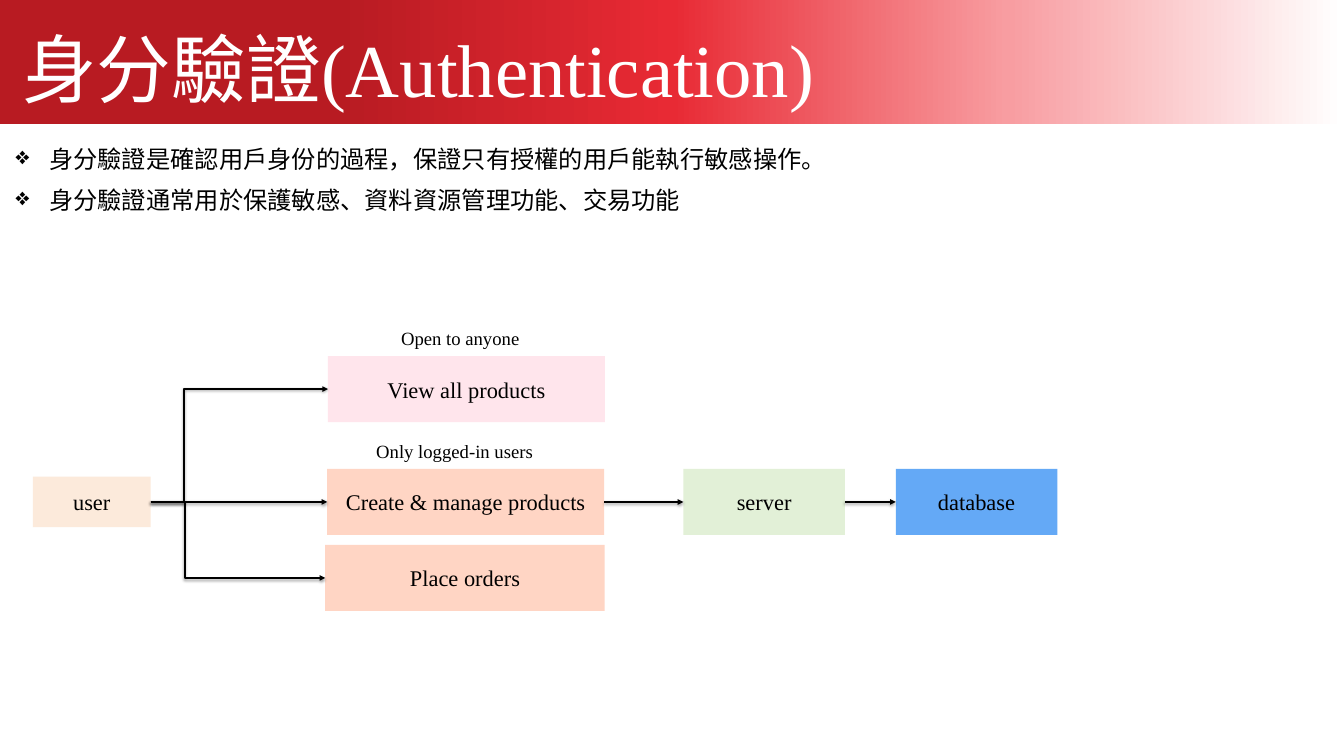
from lxml.etree import SubElement
from pptx import Presentation
from pptx.dml.color import RGBColor
from pptx.enum.shapes import MSO_CONNECTOR, MSO_SHAPE
from pptx.enum.text import MSO_ANCHOR, MSO_AUTO_SIZE, PP_ALIGN
from pptx.oxml.ns import qn
from pptx.util import Pt

LEFT_SITE, RIGHT_SITE = 1, 3


def rgb(value):
    return RGBColor.from_string(value)


class Deck:
    font = "Times New Roman"
    ink = "000000"

    def __init__(self, width, height):
        self.prs = Presentation()
        self.prs.slide_width, self.prs.slide_height = Pt(width), Pt(height)
        self.s = self.prs.slides.add_slide(self.prs.slide_layouts[6])

    def run(self, p, text, size, color=None):
        r = p.add_run()
        r.text = text
        r.font.name, r.font.size = self.font, Pt(size)
        r.font.color.rgb = rgb(color or self.ink)

    def rect(self, x, y, w, h):
        sp = self.s.shapes.add_shape(MSO_SHAPE.RECTANGLE, Pt(x), Pt(y), Pt(w), Pt(h))
        sp.shadow.inherit = False
        sp.line.fill.background()
        return sp

    def banner(self, x, y, w, h, stops):
        """Draw a rectangle with a left-to-right gradient of (percent, colour) stops."""
        sp = self.rect(x, y, w, h)
        sp.fill.gradient()
        sp.fill.gradient_angle = 0
        stop_list = sp.fill._xPr.find(qn("a:gradFill")).find(qn("a:gsLst"))
        for old in list(stop_list):
            stop_list.remove(old)
        for percent, color in stops:
            stop = SubElement(stop_list, qn("a:gs"), pos=str(percent * 1000))
            SubElement(stop, qn("a:srgbClr"), val=color)

    def box(self, x, y, w, h, text, fill):
        sp = self.rect(x, y, w, h)
        sp.fill.solid()
        sp.fill.fore_color.rgb = rgb(fill)
        tf = sp.text_frame
        tf.word_wrap = True
        tf.vertical_anchor = MSO_ANCHOR.MIDDLE
        p = tf.paragraphs[0]
        p.alignment = PP_ALIGN.CENTER
        self.run(p, text, 24)
        return sp

    def text(self, x, y, w, h, lines, size, color=None, spacing=None, bullet=None, flush=False):
        tf = self.s.shapes.add_textbox(Pt(x), Pt(y), Pt(w), Pt(h)).text_frame
        tf.word_wrap = True
        tf.auto_size = MSO_AUTO_SIZE.SHAPE_TO_FIT_TEXT
        if flush:
            tf.margin_left = tf.margin_top = tf.margin_right = tf.margin_bottom = 0
        for i, line in enumerate(lines):
            p = tf.add_paragraph() if i else tf.paragraphs[0]
            if spacing:
                p.line_spacing = Pt(spacing)
            if bullet:
                pPr = p._p.get_or_add_pPr()
                pPr.set("marL", str(Pt(36)))
                pPr.set("indent", str(-Pt(36)))
                SubElement(pPr, qn("a:buChar"), char=bullet)
            self.run(p, line, size, color)

    def arrow(self, start, end, bend=None):
        """Join two boxes; bend is the percent of the width where an elbow turns."""
        kind = MSO_CONNECTOR.ELBOW if bend else MSO_CONNECTOR.STRAIGHT
        cn = self.s.shapes.add_connector(kind, 0, 0, 0, 0)
        cn.begin_connect(start, RIGHT_SITE)
        cn.end_connect(end, LEFT_SITE)
        cn.line.color.rgb = rgb(self.ink)
        cn.line.width = Pt(2)
        SubElement(cn.line._get_or_add_ln(), qn("a:tailEnd"), type="triangle")
        if bend:
            guides = cn._element.spPr.find(qn("a:prstGeom")).find(qn("a:avLst"))
            SubElement(guides, qn("a:gd"), name="adj1", fmla=f"val {round(bend * 1000)}")


def main():
    deck = Deck(1440, 810)
    deck.text(16.6, 140.4, 1045.4, 85.7,
              ["身分驗證是確認用戶身份的過程，保證只有授權的用戶能執行敏感操作。",
               "身分驗證通常用於保護敏感、資料資源管理功能、交易功能"],
              26, spacing=44.8, bullet="❖", flush=True)
    deck.banner(0, 0, 1440, 133.2, [(0, "B81B22"), (25, "B81B22"), (50, "E82A34"),
                                    (75, "F89DA1"), (100, "FFFFFF")])
    deck.text(23.8, 8.6, 1085.8, 104.4, ["身分驗證(Authentication)"], 80,
              color="FFFFFF", spacing=112, flush=True)

    deck.text(422.6, 347, 164.2, 31.7, ["Open to anyone"], 20)
    deck.text(396, 467.3, 203.8, 31.7, ["Only logged-in users"], 20)

    row, height = 502.5, 70.6
    user = deck.box(35.3, 510.8, 126, 54, "user", "FCEADB")
    view = deck.box(351.4, 381.6, 296.6, height, "View all products", "FFE5EC")
    manage = deck.box(350.6, row, 296.6, height, "Create & manage products", "FFD5C4")
    orders = deck.box(348.5, 583.9, 299.5, height, "Place orders", "FFD5C4")
    server = deck.box(732.2, row, 173, height, "server", "E2F0D7")
    database = deck.box(959.8, row, 173, height, "database", "64A9F6")

    deck.arrow(user, view, bend=19)
    deck.arrow(user, orders, bend=19.6)
    for start, end in ((user, manage), (manage, server), (server, database)):
        deck.arrow(start, end)

    deck.prs.save("out.pptx")


if __name__ == "__main__":
    main()
